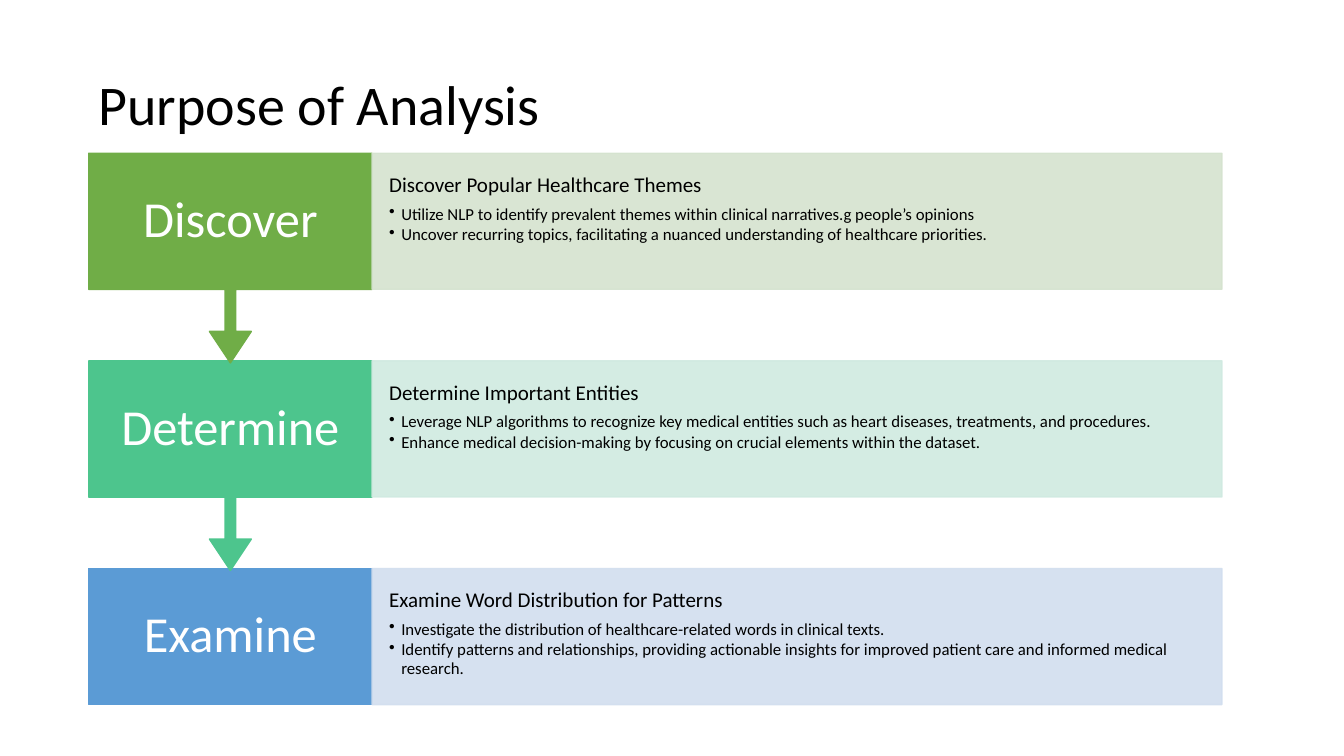
import dataclasses

import pptx
import pptx.dml.color
import pptx.enum.shapes
import pptx.enum.text
import pptx.oxml.ns
import pptx.util
from lxml import etree

SHAPE = pptx.enum.shapes.MSO_SHAPE
ANCHOR = pptx.enum.text.MSO_ANCHOR
ALIGN = pptx.enum.text.PP_ALIGN
Pt = pptx.util.Pt
Inch = pptx.util.Inches


@dataclasses.dataclass(frozen=True)
class Theme:
    font: str = "Calibri"
    dark: str = "000000"
    light: str = "FFFFFF"
    title: int = 40
    label: int = 36
    head: int = 15
    point: int = 12


@dataclasses.dataclass(frozen=True)
class Grid:
    left: float = 0.88
    top: float = 1.52
    col: float = 2.81
    row: float = 2.06
    band: float = 1.35
    arrow: float = 2.08  # a band with its arrow below

    def box(self, col, row, cols, high):
        return [Inch(n) for n in (self.left + col * self.col,
                                  self.top + row * self.row,
                                  cols * self.col, high)]


THEME = Theme()
GRID = Grid()

# Label, strong colour, pale colour, heading, points
STEPS = [
    ("Discover", "70AD47", "D5E3CF", "Discover Popular Healthcare Themes",
     ["Utilize NLP to identify prevalent themes within clinical narratives.g people’s opinions",
      "Uncover recurring topics, facilitating a nuanced understanding of healthcare priorities."]),
    ("Determine", "4DC58D", "D0EAE1", "Determine Important Entities",
     ["Leverage NLP algorithms to recognize key medical entities such as heart diseases, treatments, and procedures.",
      "Enhance medical decision-making by focusing on crucial elements within the dataset."]),
    ("Examine", "5B9BD5", "D2DEEF", "Examine Word Distribution for Patterns",
     ["Investigate the distribution of healthcare-related words in clinical texts.",
      "Identify patterns and relationships, providing actionable insights for improved patient care and informed medical research."]),
]


def rgb(code):
    return pptx.dml.color.RGBColor.from_string(code)


def apply(item, style):
    for name, value in style.items():
        setattr(item, name, value)


def set_frame(frame, anchor, side=0.1, edge=0.05):
    apply(frame, {"word_wrap": True, "vertical_anchor": anchor,
                  "margin_left": Inch(side), "margin_right": Inch(side),
                  "margin_top": Inch(edge), "margin_bottom": Inch(edge)})


def write(para, text, size, color, after, align=ALIGN.LEFT):
    apply(para, {"text": text, "alignment": align,
                 "line_spacing": 0.9, "space_after": Pt(after)})
    apply(para.runs[0].font, {"name": THEME.font, "size": Pt(size)})
    para.runs[0].font.color.rgb = rgb(color)


def add_bullet(para):
    para.level = 1
    props = para._p.get_or_add_pPr()
    props.set("marL", str(Inch(0.12)))
    props.set("indent", str(Inch(-0.12)))
    mark = etree.SubElement(props, pptx.oxml.ns.qn("a:buChar"))
    mark.set("char", "•")


def add_block(shapes, kind, box, color, alpha=100):
    block = shapes.add_shape(kind, *box)
    block.shadow.inherit = False
    block.fill.solid()
    block.fill.fore_color.rgb = rgb(color)
    block.line.color.rgb = rgb(color)
    block.line.width = Pt(1)
    if alpha < 100:
        for tint in block._element.spPr.iter(pptx.oxml.ns.qn("a:srgbClr")):
            etree.SubElement(tint, pptx.oxml.ns.qn("a:alpha")).set("val", str(alpha * 1000))
    return block


def add_label(shapes, row, text, color, last):
    kind = SHAPE.RECTANGLE if last else SHAPE.DOWN_ARROW_CALLOUT
    high = GRID.band if last else GRID.arrow
    block = add_block(shapes, kind, GRID.box(0, row, 1, high), color)
    if not last:
        for spot, value in enumerate((0.05, 0.1, 0.15, 0.65)):
            block.adjustments[spot] = value
    set_frame(block.text_frame, ANCHOR.MIDDLE, 0.2, 0.28)
    write(block.text_frame.paragraphs[0], text, THEME.label, THEME.light, 0, ALIGN.CENTER)


def add_panel(shapes, row, head, points, color):
    block = add_block(shapes, SHAPE.RECTANGLE, GRID.box(1, row, 3, GRID.band), color, 90)
    frame = block.text_frame
    set_frame(frame, ANCHOR.TOP, 0.17, 0.21)
    write(frame.paragraphs[0], head, THEME.head, THEME.dark, 6)
    for point in points:
        para = frame.add_paragraph()
        write(para, point, THEME.point, THEME.dark, 1.8)
        add_bullet(para)


def add_title(shapes, text):
    box = shapes.add_textbox(Inch(GRID.left), Inch(-0.37), Inch(5.79), Inch(1.78))
    set_frame(box.text_frame, ANCHOR.BOTTOM)
    write(box.text_frame.paragraphs[0], text, THEME.title, THEME.dark, 6)


def main():
    deck = pptx.Presentation()
    apply(deck, {"slide_width": Inch(13.33), "slide_height": Inch(7.5)})
    slide = deck.slides.add_slide(deck.slide_layouts[6])
    add_title(slide.shapes, "Purpose of Analysis")

    # Lowest step first, so that each arrow tip lies over the next step
    shapes = slide.shapes.add_group_shape().shapes
    for row, step in reversed(list(enumerate(STEPS))):
        label, strong, pale, head, points = step
        add_label(shapes, row, label, strong, row == len(STEPS) - 1)
        add_panel(shapes, row, head, points, pale)

    deck.save("out.pptx")


if __name__ == "__main__":
    main()
